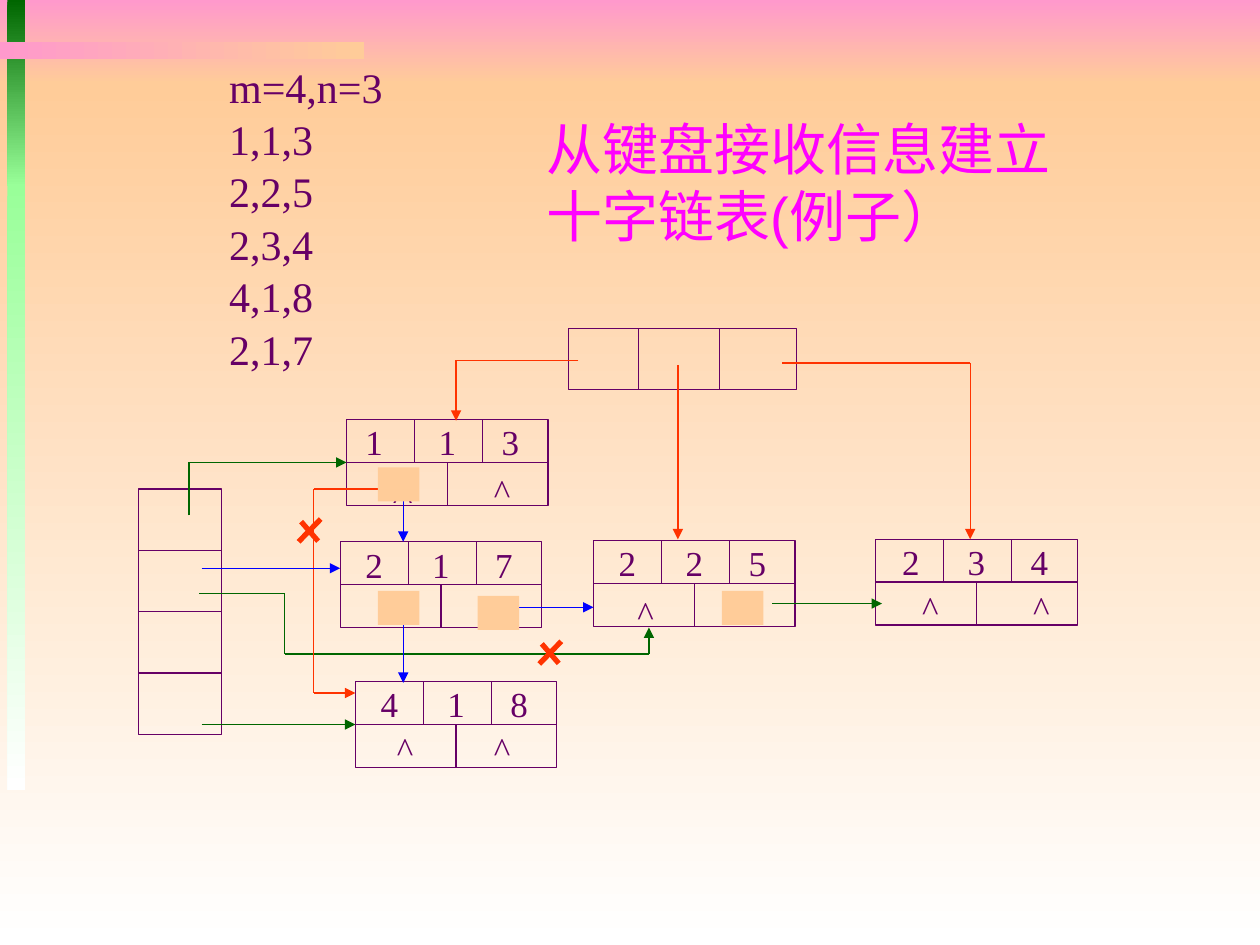
from lxml import etree
from pptx import Presentation
from pptx.dml.color import RGBColor
from pptx.enum.shapes import MSO_CONNECTOR, MSO_SHAPE
from pptx.enum.text import MSO_ANCHOR, MSO_AUTO_SIZE, PP_ALIGN
from pptx.oxml.ns import qn
from pptx.util import Inches, Pt

RECT = MSO_SHAPE.RECTANGLE
STRAIGHT = MSO_CONNECTOR.STRAIGHT
LEFT, CENTER = PP_ALIGN.LEFT, PP_ALIGN.CENTER
TOP, MIDDLE = MSO_ANCHOR.TOP, MSO_ANCHOR.MIDDLE
GROW = MSO_AUTO_SIZE.SHAPE_TO_FIT_TEXT

PURPLE = RGBColor(0x66, 0x00, 0x66)
MAGENTA = RGBColor(0xFF, 0x00, 0xFF)
PINK = RGBColor(0xFF, 0x99, 0xCC)
PEACH = RGBColor(0xFF, 0xCC, 0x99)
WHITE = RGBColor(0xFF, 0xFF, 0xFF)
GREEN = RGBColor(0x00, 0x66, 0x00)
LIME = RGBColor(0x99, 0xFF, 0x99)
ORANGE = RGBColor(0xFF, 0x33, 0x00)
BLUE = RGBColor(0x00, 0x00, 0xFF)

prs = Presentation()
prs.slide_width, prs.slide_height = Inches(10), Inches(7.5)
s = prs.slides.add_slide(prs.slide_layouts[6])
UNIT = prs.slide_width / 100
sites = {}


def add_rect(x, y, w, h, colors=(), angle=270):
    sp = s.shapes.add_shape(RECT, *(round(v * UNIT) for v in (x, y, w, h)))
    sp.shadow.inherit = False
    if len(colors) == 2:
        sp.fill.gradient()
        sp.fill.gradient_angle = angle
        for stop, color in zip(sp.fill.gradient_stops, colors):
            stop.color.rgb = color
    elif colors:
        sp.fill.solid()
        sp.fill.fore_color.rgb = colors[0]
    else:
        sp.fill.background()
    if colors:
        sp.line.fill.background()
        return
    sp.line.color.rgb = PURPLE
    sp.line.width = Pt(0.75)
    middles = ((x + w / 2, y), (x, y + h / 2), (x + w / 2, y + h), (x + w, y + h / 2))
    for i, (mx, my) in enumerate(middles):
        sites[round(mx, 2), round(my, 2)] = sp, i


def add_text(text, x, y, w, h, size=20, font="Times New Roman", color=PURPLE,
             align=CENTER, anchor=MIDDLE, wrap=False, spacing=1.04, indent=0):
    sp = s.shapes.add_textbox(*(round(v * UNIT) for v in (x, y, w, h)))
    tf = sp.text_frame
    tf.word_wrap = wrap
    tf.auto_size = GROW
    tf.vertical_anchor = anchor
    for i, line in enumerate(text.split("\n")):
        p = tf.paragraphs[0] if i == 0 else tf.add_paragraph()
        p.alignment = align
        p.line_spacing = spacing
        if indent:
            p._p.get_or_add_pPr().set("marL", str(round(indent * UNIT)))
        r = p.add_run()
        r.text = line
        r.font.size, r.font.name = Pt(size), font
        r.font.color.rgb = color


for x, y, w, h, colors, angle in [
    (0, 0, 100, 6.7, (PINK, PEACH), 270),
    (0, 6.7, 100, 68.3, (PEACH, WHITE), 270),
    (0.6, 0, 1.4, 14.8, (GREEN, LIME), 270),
    (0.6, 14.6, 1.4, 48.1, (LIME, WHITE), 270),
    (0, 3.3, 28.9, 1.4, (PINK, PEACH), 0),
]:
    add_rect(x, y, w, h, colors, angle)

lines = []

ROW_X, ROW_Y, ROW_W, ROW_H = 11, 38.8, 6.6, 19.5
COL_X, COL_Y, COL_W, COL_H = 45.1, 26.1, 18.1, 4.8
add_rect(ROW_X, ROW_Y, ROW_W, ROW_H)
add_rect(COL_X, COL_Y, COL_W, COL_H)
for i in range(1, 4):
    y = ROW_Y + ROW_H * i / 4
    lines.append((PURPLE, 0.75, False, [(ROW_X, y), (ROW_X + ROW_W, y)]))
for dx in (5.6, 12):
    lines.append((PURPLE, 0.75, False,
                  [(COL_X + dx, COL_Y), (COL_X + dx, COL_Y + COL_H)]))

NODE_W, NODE_H = 16, 6.8
for x, y, digits, first, carets in [
    (27.5, 33.3, "113", 2.2, [(4.4, 5.9, 24), (12.35, 5.55, 20)]),
    (27, 43, "217", 2.7, []),
    (47.1, 42.9, "225", 2.7, [(4.15, 5.65, 20)]),
    (69.5, 42.8, "234", 2.8, [(4.35, 5.35, 20), (13.15, 5.35, 20)]),
    (28.2, 54.1, "418", 2.7, [(3.95, 5.25, 20), (11.65, 5.25, 20)]),
]:
    add_rect(x, y, NODE_W, NODE_H)
    half, bottom = y + NODE_H / 2, y + NODE_H
    lines.append((PURPLE, 0.75, False, [(x, half), (x + NODE_W, half)]))
    lines.append((PURPLE, 0.75, False, [(x + NODE_W / 2, half), (x + NODE_W / 2, bottom)]))
    for dx in (5.4, 10.8):
        lines.append((PURPLE, 0.75, False, [(x + dx, y), (x + dx, half)]))
    for digit, dx in zip(digits, (first, 8, 13)):
        add_text(digit, x + dx - 1.7, y - 0.45, 3.4, 4.3)
    for dx, dy, size in carets:
        h = 4.3 if size == 20 else 5
        add_text("^", x + dx - 1.7, y + dy - h / 2, 3.4, h, size=size)

lines += [
    (GREEN, 0.75, True, [(15, 40.9), (15, 36.7), (27.5, 36.7)]),
    (GREEN, 0.75, True, [(16, 57.5), (28.2, 57.5)]),
    (GREEN, 0.75, True, [(15.8, 47.1), (22.6, 47.1), (22.6, 51.9), (51.5, 51.9), (51.5, 49.8)]),
    (GREEN, 0.75, True, [(61.3, 47.9), (70, 47.9)]),
    (ORANGE, 0.75, True, [(53.8, 29), (53.8, 42.8)]),
    (ORANGE, 0.75, True, [(45.9, 28.6), (36.2, 28.6), (36.2, 33.4)]),
    (ORANGE, 0.75, True, [(62.1, 28.8), (77, 28.8), (77, 42.8)]),
    (ORANGE, 0.75, True, [(30.3, 38.8), (24.9, 38.8), (24.9, 55), (28.2, 55)]),
    (BLUE, 0.75, True, [(16, 45.1), (27, 45.1)]),
    (BLUE, 0.75, True, [(32, 38.4), (32, 43)]),
    (BLUE, 0.75, True, [(32, 48.4), (32, 54.2)]),
    (BLUE, 0.75, True, [(40.5, 48.2), (47.1, 48.2)]),
]
for x, y in [(42.8, 50.9), (23.7, 41.2)]:
    lines.append((ORANGE, 3, False, [(x + 1.75, y), (x, y + 1.8)]))
    lines.append((ORANGE, 3, False, [(x + 0.2, y + 0.2), (x + 1.55, y + 1.75)]))

for color, width, arrow, points in lines:
    for i, (start, end) in enumerate(zip(points, points[1:]), 2):
        c = s.shapes.add_connector(STRAIGHT, *(round(v * UNIT) for v in start + end))
        c.line.color.rgb = color
        c.line.width = Pt(width)
        if arrow and i == len(points):
            etree.SubElement(c._element.spPr.find(qn("a:ln")), qn("a:tailEnd"), type="triangle")
        etree.SubElement(c._element.spPr, qn("a:effectLst"))
        for point, join in ((start, c.begin_connect), (end, c.end_connect)):
            site = sites.get((round(point[0], 2), round(point[1], 2)))
            if site:
                join(*site)

for x, y in [(30, 37.1), (30, 46.9), (37.9, 47.3), (57.3, 46.9)]:
    add_rect(x, y, 3.3, 2.7, (PEACH,))

add_text("m=4,n=3\n1,1,3\n2,2,5\n2,3,4\n4,1,8\n2,1,7", 17.2, 4.2, 14.2, 25,
         size=24, align=LEFT, anchor=TOP)
add_text("从键盘接收信息建立十字链表(例子）", 41.5, 8.6, 45.5, 11.8, size=32, font="Arial",
         color=MAGENTA, align=LEFT, anchor=TOP, wrap=True, spacing=1, indent=0.9)

prs.save("out.pptx")
